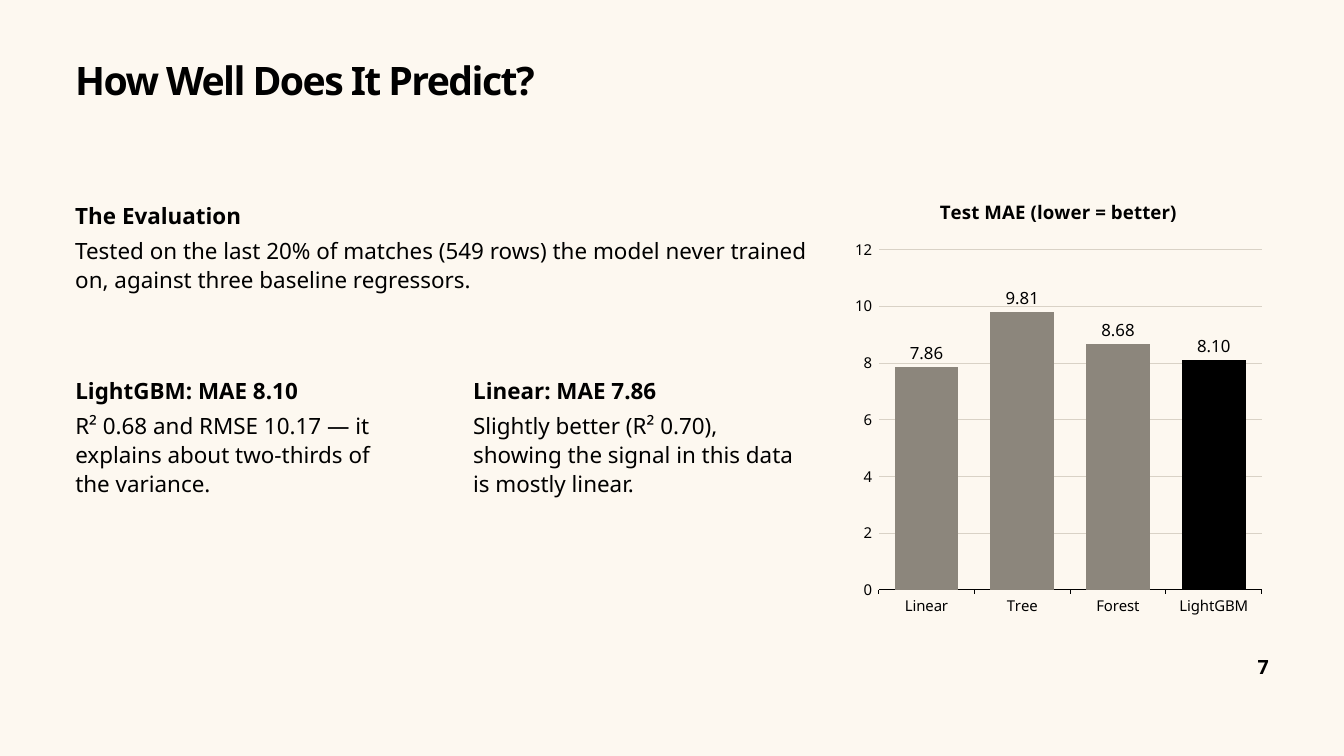
"""Builds the model evaluation slide with its error chart."""
from pptx import Presentation
from pptx.chart.data import CategoryChartData
from pptx.dml.color import RGBColor
from pptx.enum.chart import XL_CHART_TYPE, XL_LABEL_POSITION, XL_TICK_MARK
from pptx.enum.text import PP_ALIGN
from pptx.util import Inches, Pt


def rgb(value):
    return RGBColor.from_string(value)


class EvaluationSlide:
    FONT = "Noto Sans"
    INK, PAPER, BAR, GRID = "000000", "FDF8F0", "8C867C", "D9D2C6"

    def __init__(self, deck):
        self.slide = deck.slides.add_slide(deck.slide_layouts[6])
        fill = self.slide.background.fill
        fill.solid()
        fill.fore_color.rgb = rgb(self.PAPER)

    def style(self, font, size, bold=False):
        font.name, font.size, font.bold = self.FONT, Pt(size), bold
        font.color.rgb = rgb(self.INK)

    def text(self, words, left, top, width, height, size=24, leading=31.2,
             bold=False, align=PP_ALIGN.LEFT, tracking=0):
        box = self.slide.shapes.add_textbox(
            Inches(left), Inches(top), Inches(width), Inches(height))
        frame = box.text_frame
        frame.word_wrap = True
        frame.margin_left = frame.margin_right = 0
        frame.margin_top = frame.margin_bottom = 0
        paragraph = frame.paragraphs[0]
        paragraph.alignment, paragraph.line_spacing = align, Pt(leading)
        run = paragraph.add_run()
        run.text = words
        self.style(run.font, size, bold)
        if tracking:
            run.font._element.set("spc", str(tracking))

    def column_chart(self, title, values, highlight, left, top, width, height):
        data = CategoryChartData(number_format="0.00")
        data.categories = list(values)
        data.add_series("Series 1", list(values.values()))
        chart = self.slide.shapes.add_chart(
            XL_CHART_TYPE.COLUMN_CLUSTERED, Inches(left), Inches(top),
            Inches(width), Inches(height), data).chart
        self.style(chart.font, 18)
        chart.has_legend = False
        chart.has_title = True
        heading = chart.chart_title.text_frame
        heading.text = title
        self.style(heading.paragraphs[0].runs[0].font, 20, True)
        chart.chart_title.include_in_layout = False

        for axis in (chart.category_axis, chart.value_axis):
            self.style(axis.tick_labels.font, 16)
            axis.major_tick_mark = XL_TICK_MARK.OUTSIDE
            axis.minor_tick_mark = XL_TICK_MARK.NONE
        baseline = chart.category_axis.format.line
        baseline.color.rgb, baseline.width = rgb(self.INK), Pt(0.75)
        scale = chart.value_axis
        scale.minimum_scale, scale.maximum_scale, scale.major_unit = 0, 12, 2
        scale.tick_labels.number_format = "General"
        scale.tick_labels.number_format_is_linked = False
        scale.format.line.fill.background()
        grid = scale.major_gridlines.format.line
        grid.color.rgb, grid.width = rgb(self.GRID), Pt(0.75)

        plot = chart.plots[0]
        plot.gap_width, plot.vary_by_categories = 50, False
        series = plot.series[0]
        best = series.points[list(values).index(highlight)]
        for item, color in ((series, self.BAR), (best, self.INK)):
            item.format.fill.solid()
            item.format.fill.fore_color.rgb = rgb(color)
        labels = series.data_labels
        labels.show_value = True
        labels.position = XL_LABEL_POSITION.OUTSIDE_END
        labels.number_format, labels.number_format_is_linked = "0.00", False
        self.style(labels.font, 18)


MARGIN = 1.12
FINDINGS = [
    (MARGIN, "LightGBM: MAE 8.10",
     "R² 0.68 and RMSE 10.17 — it explains about two-thirds of the variance."),
    (7.04, "Linear: MAE 7.86",
     "Slightly better (R² 0.70), showing the signal in this data is mostly linear."),
]
MAE = {"Linear": 7.86, "Tree": 9.81, "Forest": 8.68, "LightGBM": 8.10}

deck = Presentation()
deck.slide_width, deck.slide_height = Inches(20), Inches(11.25)
page = EvaluationSlide(deck)
page.text("How Well Does It Predict?", MARGIN, 0.9, 12.67, 0.66,
          size=42, leading=46.2, bold=True, tracking=-170)
page.text("The Evaluation", MARGIN, 3, 4.8, 0.41, leading=28.8, bold=True)
page.text("Tested on the last 20% of matches (549 rows) the model never trained "
          "on, against three baseline regressors.", MARGIN, 3.49, 11, 1.29)
for left, heading, detail in FINDINGS:
    page.text(heading, left, 5.58, 4.88, 0.44, bold=True)
    page.text(detail, left, 6.1, 4.88, 2.57)
page.column_chart("Test MAE (lower = better)", MAE, "LightGBM", 12.6, 2.7, 6.3, 6.6)
page.text("7", 18.03, 9.78, 0.85, 0.34, size=21, leading=23.1, bold=True,
          align=PP_ALIGN.RIGHT)
deck.save("out.pptx")
